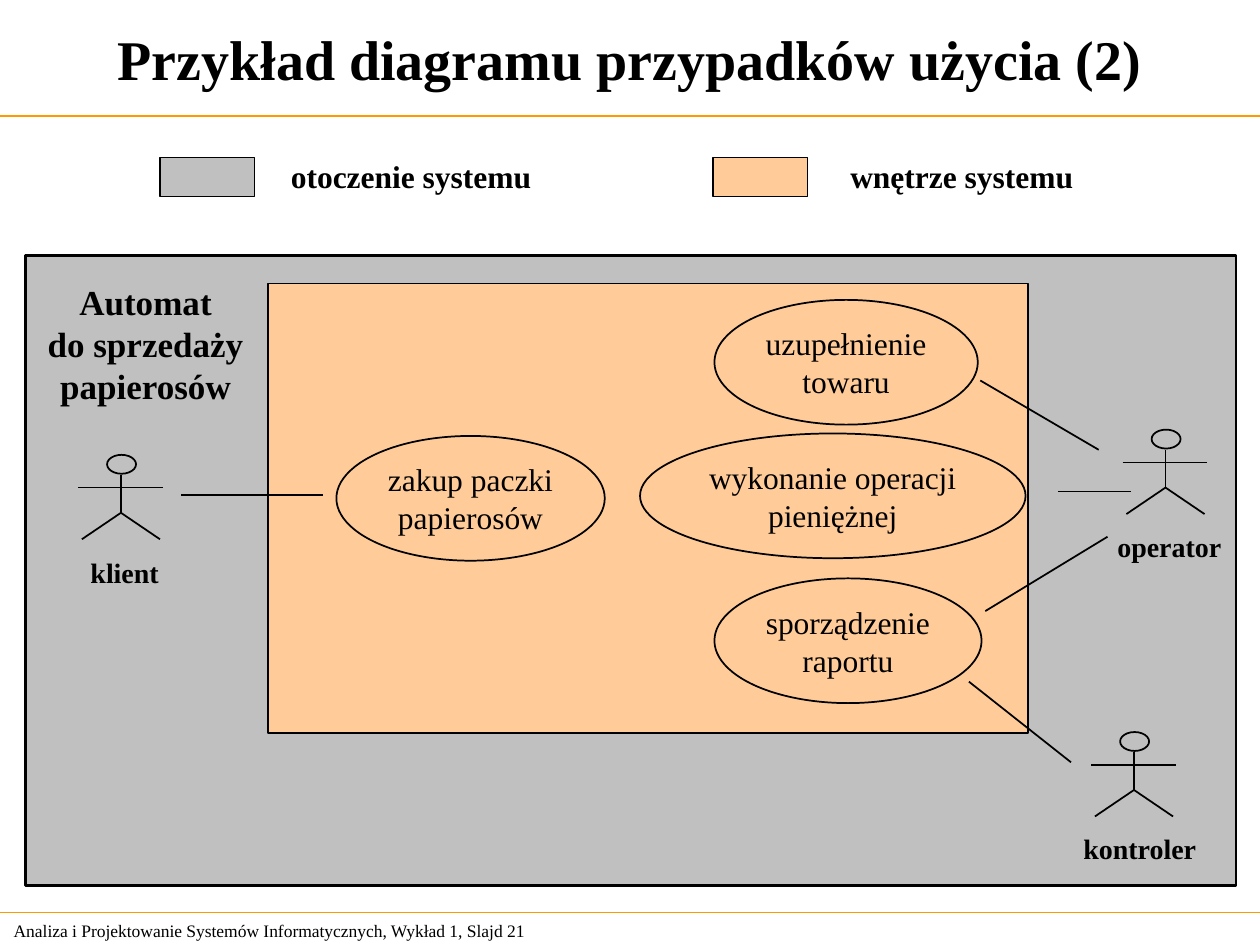
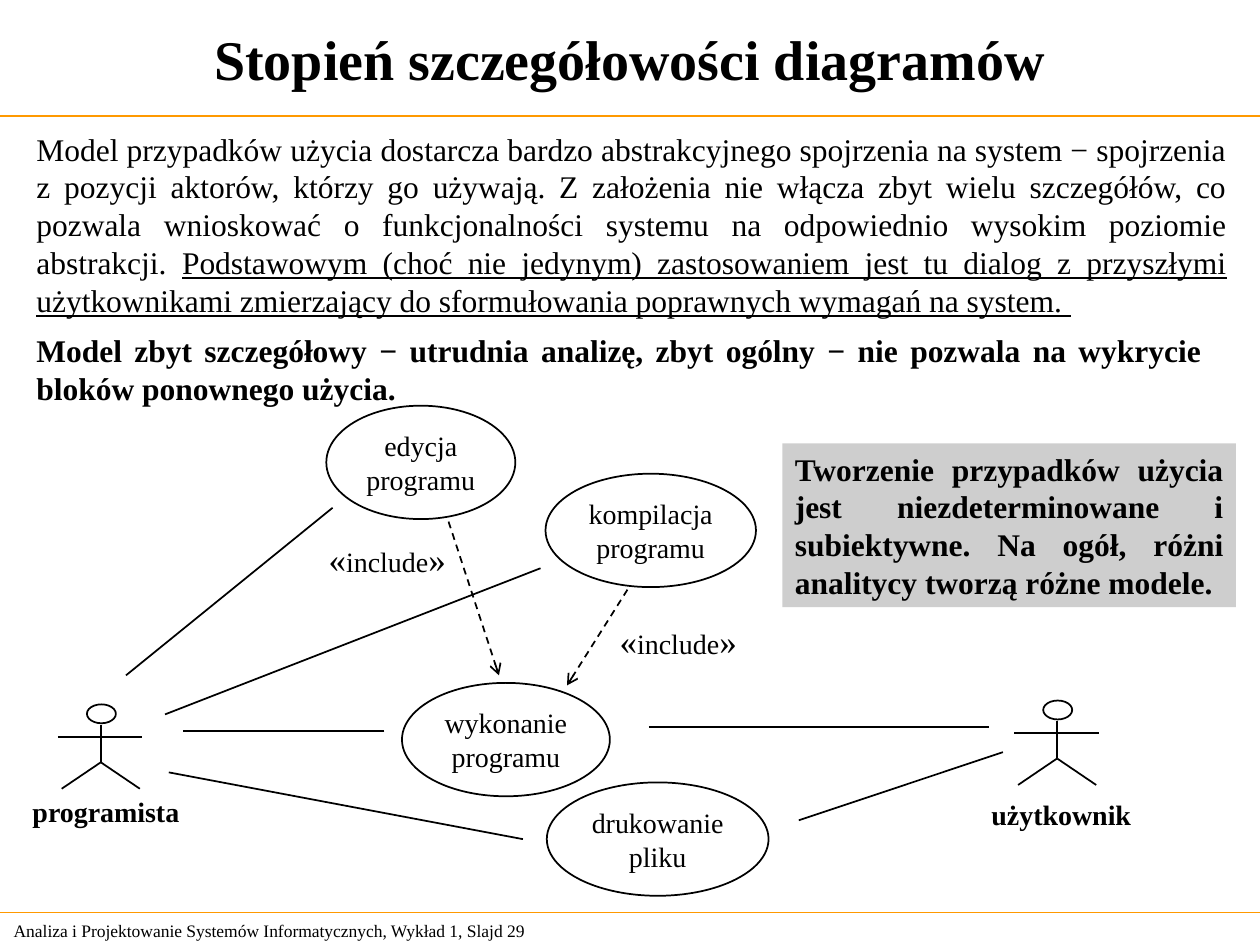
from lxml.etree import SubElement
from pptx import Presentation
from pptx.dml.color import RGBColor
from pptx.enum.dml import MSO_LINE
from pptx.enum.shapes import MSO_CONNECTOR, MSO_SHAPE
from pptx.enum.text import MSO_ANCHOR, MSO_AUTO_SIZE, PP_ALIGN
from pptx.oxml.ns import qn
from pptx.util import Inches, Pt

FONT = "Times New Roman"
INK = "000000"
RULE = "FF9900"
ENVIRONMENT = "C0C0C0"
INTERIOR = "FFCC99"
NOTE = "CECECE"


def color(value):
    return RGBColor.from_string(value)


def add_run(paragraph, text, size=18, bold=False, underline=False):
    run = paragraph.add_run()
    run.text = text
    run.font.name = FONT
    run.font.size = Pt(size)
    run.font.bold = bold
    run.font.underline = underline
    run.font.color.rgb = color(INK)


def write_text(frame, text, align=PP_ALIGN.LEFT, anchor=MSO_ANCHOR.TOP, wrap=True, **font):
    frame.word_wrap = wrap
    frame.vertical_anchor = anchor
    for index, line in enumerate(text.split("\n")):
        paragraph = frame.add_paragraph() if index else frame.paragraphs[0]
        paragraph.alignment = align
        add_run(paragraph, line, **font)


class Deck:
    """Lecture slides with a shared style and elements for use case diagrams."""

    def __init__(self):
        self.presentation = Presentation()
        self.presentation.slide_width = Inches(10)
        self.presentation.slide_height = Inches(7.5)
        self.shapes = None

    def start_slide(self, title, number):
        layout = self.presentation.slide_layouts[6]
        self.shapes = self.presentation.slides.add_slide(layout).shapes
        footer = f"Analiza i Projektowanie Systemów Informatycznych, Wykład 1, Slajd {number}"
        self.text((0.01, 7.25, 4.75, 0.27), footer, size=10, anchor=MSO_ANCHOR.MIDDLE)
        for y in (0.92, 7.24):
            self.line((0, y), (10, y), line=RULE, width=0.75)
        self.text((0, 0, 10, 0.92), title, size=32, bold=True,
                  align=PP_ALIGN.CENTER, anchor=MSO_ANCHOR.MIDDLE)

    def text(self, box, text, **style):
        frame = self.shapes.add_textbox(*map(Inches, box)).text_frame
        write_text(frame, text, **style)
        frame.auto_size = MSO_AUTO_SIZE.NONE
        return frame

    def label(self, box, text, **style):
        return self.text(box, text, wrap=False, **style)

    def shape(self, kind, box, fill=None, line=INK, width=1, shapes=None):
        shape = (shapes or self.shapes).add_shape(kind, *map(Inches, box))
        shape.shadow.inherit = False
        if fill:
            shape.fill.solid()
            shape.fill.fore_color.rgb = color(fill)
        else:
            shape.fill.background()
        if line:
            shape.line.color.rgb = color(line)
            shape.line.width = Pt(width)
        else:
            shape.line.fill.background()
        return shape

    def rectangle(self, box, fill, **style):
        return self.shape(MSO_SHAPE.RECTANGLE, box, fill, **style)

    def use_case(self, box, text, size):
        ellipse = self.shape(MSO_SHAPE.OVAL, box)
        write_text(ellipse.text_frame, text, size=size, wrap=False,
                   align=PP_ALIGN.CENTER, anchor=MSO_ANCHOR.MIDDLE)

    def line(self, start, end, line=INK, width=1, shapes=None):
        connector = (shapes or self.shapes).add_connector(
            MSO_CONNECTOR.STRAIGHT, *map(Inches, (*start, *end)))
        connector.line.color.rgb = color(line)
        connector.line.width = Pt(width)
        SubElement(connector._element.spPr, qn("a:effectLst"))
        return connector

    def include(self, start, end, box):
        connector = self.line(start, end)
        connector.line.dash_style = MSO_LINE.DASH
        SubElement(connector.line._get_or_add_ln(), qn("a:tailEnd"), type="arrow")
        paragraph = self.label(box, "«", size=20).paragraphs[0]
        add_run(paragraph, "include", size=16)
        add_run(paragraph, "»", size=20)

    def actor(self, x, y, name, box):
        figure = self.shapes.add_group_shape().shapes
        self.shape(MSO_SHAPE.OVAL, (x - 0.11, y, 0.23, 0.15), shapes=figure)
        hip = (x, y + 0.46)
        limbs = [
            ((x, y + 0.16), hip),
            ((x - 0.34, y + 0.26), (x + 0.33, y + 0.26)),
            (hip, (x + 0.31, y + 0.67)),
            (hip, (x - 0.31, y + 0.67)),
        ]
        for start, end in limbs:
            self.line(start, end, shapes=figure)
        self.label(box, name, size=16, bold=True)


def build_vending_machine(deck):
    deck.start_slide("Przykład diagramu przypadków użycia (2)", 21)
    deck.rectangle((0.2, 2.03, 9.61, 5), ENVIRONMENT, width=1.5)
    deck.rectangle((2.13, 2.25, 6.03, 3.57), INTERIOR)
    deck.label((0.25, 2.18, 1.81, 1.1), "Automat\ndo sprzedaży\npapierosów",
               size=20, bold=True, align=PP_ALIGN.CENTER)

    use_cases = [
        (2.67, 3.46, 2.13, "zakup paczki\npapierosów"),
        (5.67, 2.38, 2.09, "uzupełnienie\ntowaru"),
        (5.08, 3.44, 3.06, "wykonanie operacji\npieniężnej"),
        (5.67, 4.59, 2.12, "sporządzenie\nraportu"),
    ]
    for left, top, width, text in use_cases:
        deck.use_case((left, top, width, 0.99), text, size=18)

    associations = [
        ((1.44, 3.93), (2.56, 3.93)),
        ((7.82, 4.85), (8.79, 4.26)),
        ((7.78, 3.02), (8.72, 3.57)),
        ((8.4, 3.9), (8.98, 3.9)),
        ((8.5, 6.05), (7.69, 5.41)),
    ]
    for start, end in associations:
        deck.line(start, end)

    deck.actor(0.96, 3.61, "klient", (0.62, 4.36, 0.74, 0.36))
    deck.actor(9.25, 3.41, "operator", (8.77, 4.15, 1.06, 0.36))
    deck.actor(9, 5.81, "kontroler", (8.5, 6.55, 1.12, 0.36))

    legend = [
        (1.27, ENVIRONMENT, 2.21, 2.11, "otoczenie systemu"),
        (5.66, INTERIOR, 6.65, 1.97, "wnętrze systemu"),
    ]
    for swatch_left, fill, left, width, text in legend:
        deck.rectangle((swatch_left, 1.25, 0.75, 0.31), fill)
        deck.label((left, 1.2, width, 0.4), text, bold=True)


def build_level_of_detail(deck):
    deck.start_slide("Stopień szczegółowości diagramów", 29)
    introduction = deck.text(
        (0.19, 0.98, 9.65, 1.6),
        "Model przypadków użycia dostarcza bardzo abstrakcyjnego spojrzenia na system − "
        "spojrzenia z pozycji aktorów, którzy go używają. Z założenia nie włącza zbyt wielu "
        "szczegółów, co pozwala wnioskować o funkcjonalności systemu na odpowiednio wysokim "
        "poziomie abstrakcji. ",
        align=PP_ALIGN.JUSTIFY)
    add_run(introduction.paragraphs[0],
            "Podstawowym (choć nie jedynym) zastosowaniem jest tu dialog z przyszłymi "
            "użytkownikami zmierzający do sformułowania poprawnych wymagań na system. ",
            underline=True)
    deck.text((0.19, 2.58, 9.45, 0.7),
              "Model zbyt szczegółowy − utrudnia analizę, zbyt ogólny − nie pozwala na "
              "wykrycie bloków ponownego użycia.",
              bold=True, align=PP_ALIGN.JUSTIFY)

    use_cases = [
        (2.59, 3.22, 1.5, "edycja\nprogramu"),
        (4.33, 3.76, 1.67, "kompilacja\nprogramu"),
        (3.19, 5.42, 1.65, "wykonanie\nprogramu"),
        (4.34, 6.21, 1.76, "drukowanie\npliku"),
    ]
    for left, top, width, text in use_cases:
        deck.use_case((left, top, width, 0.9), text, size=16)

    associations = [
        ((1.34, 6.13), (4.15, 6.66)),
        ((3.05, 5.8), (1.45, 5.8)),
        ((1.31, 5.67), (4.29, 4.51)),
        ((2.64, 4.03), (1, 5.36)),
        ((6.34, 6.51), (7.96, 5.97)),
        ((5.15, 5.77), (7.85, 5.77)),
    ]
    for start, end in associations:
        deck.line(start, end)
    deck.include((3.56, 4.14), (3.96, 5.36), (2.51, 4.22, 1.13, 0.44))
    deck.include((4.98, 4.68), (4.5, 5.44), (4.82, 4.87, 1.13, 0.44))

    note = deck.rectangle((6.21, 3.52, 3.6, 1.3), NOTE, line=None)
    write_text(note.text_frame,
               "Tworzenie przypadków użycia jest niezdeterminowane i subiektywne. "
               "Na ogół, różni analitycy tworzą różne modele.",
               bold=True, align=PP_ALIGN.JUSTIFY)

    deck.actor(0.8, 5.59, "programista", (0.16, 6.26, 1.37, 0.37))
    deck.actor(8.39, 5.56, "użytkownik", (7.77, 6.28, 1.31, 0.37))


def main():
    deck = Deck()
    build_vending_machine(deck)
    build_level_of_detail(deck)
    deck.presentation.save("out.pptx")


if __name__ == "__main__":
    main()
